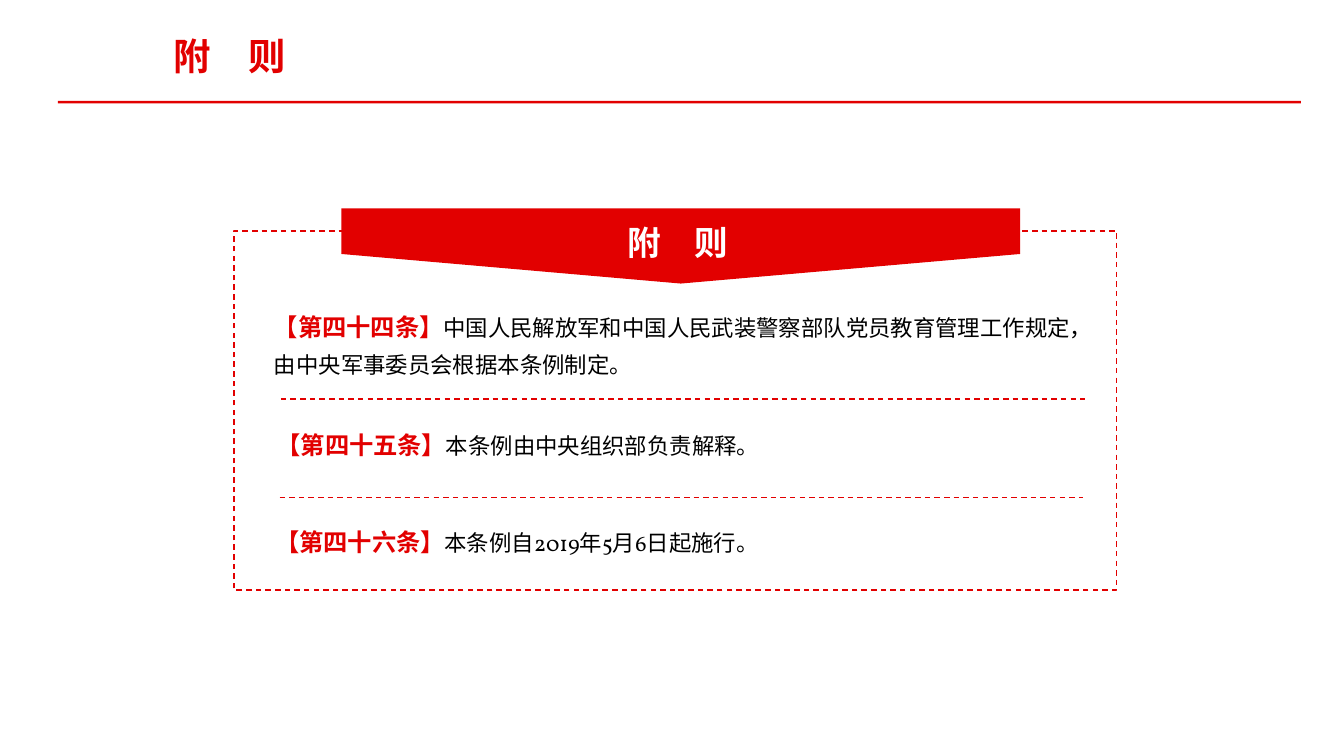
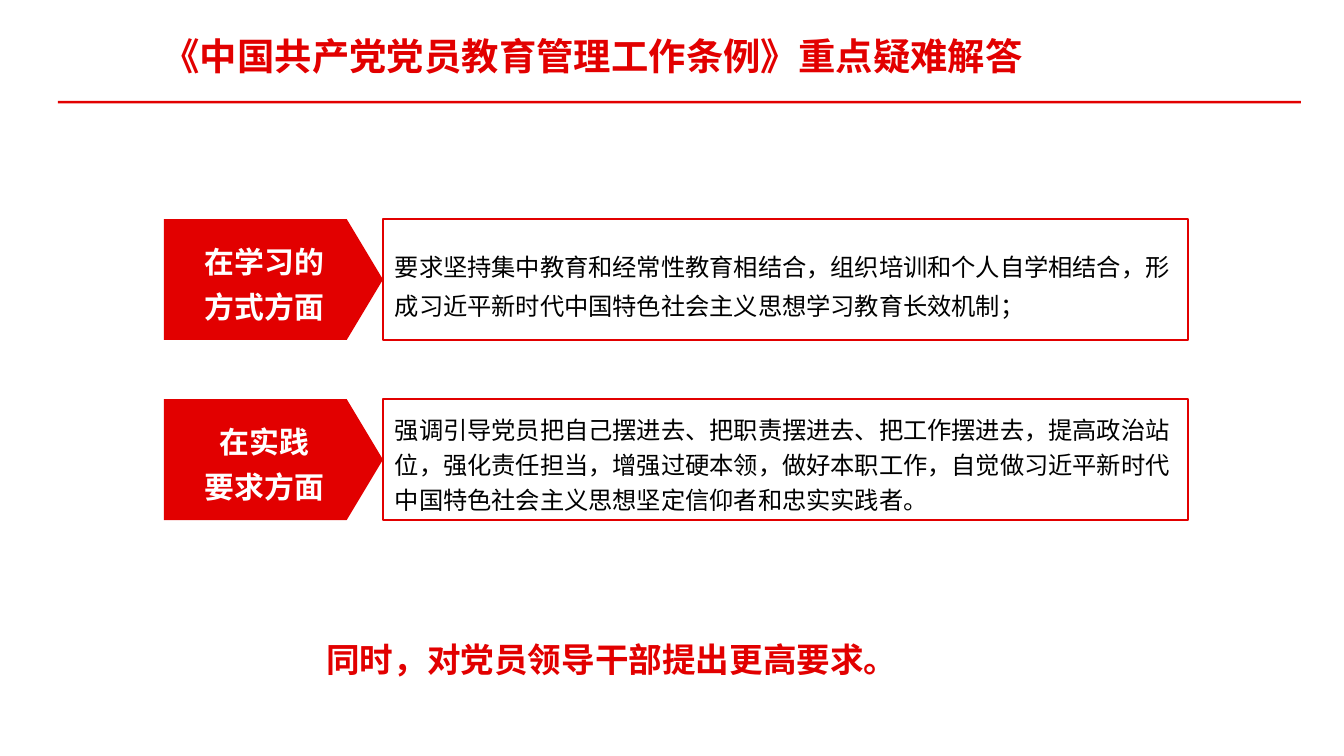
from pptx import Presentation
from pptx.dml.color import RGBColor
from pptx.enum.dml import MSO_LINE
from pptx.enum.shapes import MSO_CONNECTOR, MSO_SHAPE
from pptx.enum.text import MSO_ANCHOR, MSO_AUTO_SIZE, PP_ALIGN
from pptx.util import Inches, Pt
from lxml.etree import SubElement
from pptx.oxml.ns import qn

COLORS = {"red": "E20000", "white": "FFFFFF", "black": "000000"}
FONT = "Vollkorn"
TIGHT = (0.07, 0.04)
LOOSE = (0.1, 0.05)

RULES = "附　则"
# label, body, left, top, height, line spacing
ARTICLES = [
    ("【第四十四条】", "中国人民解放军和中国人民武装警察部队党员教育管理工作规定，"
     "由中央军事委员会根据本条例制定。", 1.94, 2.2, 0.65, 1.35),
    ("【第四十五条】", "本条例由中央组织部负责解释。", 1.96, 3.13, 0.32, 1.1),
    ("【第四十六条】", "本条例自2019年5月6日起施行。", 1.95, 3.85, 0.32, 1.1),
]
DIVIDERS = [(2.09, 2.97), (2.08, 3.7)]

TOPIC = "《中国共产党党员教育管理工作条例》重点疑难解答"
# label lines, body, text offset, text height, line spacing
ASPECTS = [
    (["在学习的", "方式方面"],
     "要求坚持集中教育和经常性教育相结合，组织培训和个人自学相结合，"
     "形成习近平新时代中国特色社会主义思想学习教育长效机制；", 0.12, 0.67, 1.35),
    (["在实践", "要求方面"],
     "强调引导党员把自己摆进去、把职责摆进去、把工作摆进去，提高政治站位，"
     "强化责任担当，增强过硬本领，做好本职工作，"
     "自觉做习近平新时代中国特色社会主义思想坚定信仰者和忠实实践者。", 0.03, 0.87, 1.2),
]
CLOSING = "同时，对党员领导干部提出更高要求。"


def rgb(name):
    return RGBColor.from_string(COLORS[name])


def style(font, size, color, bold):
    font.name, font.size, font.bold = FONT, Pt(size), bold
    font.color.rgb = rgb(color)


def outline(line, dash=False):
    line.color.rgb = rgb("red")
    line.width = Pt(0.75)
    if dash:
        line.dash_style = MSO_LINE.DASH


def shape(slide, kind, box, fill=None, line=False, dash=False):
    item = slide.shapes.add_shape(kind, *map(Inches, box))
    item.shadow.inherit = False
    if fill:
        item.fill.solid()
        item.fill.fore_color.rgb = rgb(fill)
    else:
        item.fill.background()
    if line:
        outline(item.line, dash)
    else:
        item.line.fill.background()
    return item


def write(frame, lines, size, color, bold=False, space=1.0, align=PP_ALIGN.LEFT):
    for i, line in enumerate(lines):
        para = frame.paragraphs[0] if i == 0 else frame.add_paragraph()
        para.text = line
        para.alignment = align
        para.line_spacing = space
        style(para.font, size, color, bold)


def textbox(slide, box, pad=LOOSE):
    frame = slide.shapes.add_textbox(*map(Inches, box)).text_frame
    frame.word_wrap = True
    frame.auto_size = MSO_AUTO_SIZE.SHAPE_TO_FIT_TEXT
    frame.margin_left = frame.margin_right = Inches(pad[0])
    frame.margin_top = frame.margin_bottom = Inches(pad[1])
    return frame


def divider(slide, left, top, width):
    ends = (left, top, left + width, top)
    line = slide.shapes.add_connector(MSO_CONNECTOR.STRAIGHT, *map(Inches, ends))
    outline(line.line, dash=True)
    SubElement(line._element.spPr, qn("a:effectLst"))


def page(deck, title, left, width):
    """Add a slide with the red header rule and its title."""
    slide = deck.slides.add_slide(deck.slide_layouts[6])
    shape(slide, MSO_SHAPE.RECTANGLE, (0.43, 0.75, 9.25, 0.02), "red")
    write(textbox(slide, (left, 0.21, width, 0.41), TIGHT), [title], 20, "red", True)
    return slide


def rules(deck):
    slide = page(deck, RULES, 1.22, 4.02)
    shape(slide, MSO_SHAPE.RECTANGLE, (1.74, 1.72, 6.57, 2.67), "white", True, True)
    shape(slide, MSO_SHAPE.RECTANGLE, (2.54, 1.55, 5.05, 0.34), "red")
    tip = shape(slide, MSO_SHAPE.ISOSCELES_TRIANGLE, (2.54, 1.89, 5.05, 0.22), "red")
    tip.rotation = 180
    banner = textbox(slide, (2.72, 1.55, 4.65, 0.41), TIGHT)
    write(banner, [RULES], 18, "white", True, 1.2, PP_ALIGN.CENTER)
    for label, body, left, top, height, space in ARTICLES:
        para = textbox(slide, (left, top, 6.31, height)).paragraphs[0]
        para.line_spacing = space
        for text, size, color, bold in ((label, 13, "red", True),
                                        (body, 12, "black", False)):
            run = para.add_run()
            run.text = text
            style(run.font, size, color, bold)
    for left, top in DIVIDERS:
        divider(slide, left, top, 5.98)


def answers(deck):
    slide = page(deck, TOPIC, 1.14, 6.77)
    for i, (label, body, shift, height, space) in enumerate(ASPECTS):
        top = 1.63 + i * 1.34
        arrow = shape(slide, MSO_SHAPE.PENTAGON, (1.22, top, 1.63, 0.9), "red")
        arrow.adjustments[0] = 0.3
        arrow.text_frame.vertical_anchor = MSO_ANCHOR.MIDDLE
        write(arrow.text_frame, label, 16, "white", True, 1.25, PP_ALIGN.CENTER)
        frame = textbox(slide, (2.84, top + shift, 6.02, height))
        write(frame, [body], 13, "black", space=space)
        shape(slide, MSO_SHAPE.RECTANGLE, (2.85, top, 5.99, 0.9), line=True)
    frame = textbox(slide, (2.33, 4.63, 5.84, 0.45))
    write(frame, [CLOSING], 18, "red", True, 1.25)


def main():
    deck = Presentation()
    deck.slide_width = Inches(10)
    deck.slide_height = deck.slide_width * 9 // 16
    rules(deck)
    answers(deck)
    deck.save("out.pptx")


if __name__ == "__main__":
    main()
